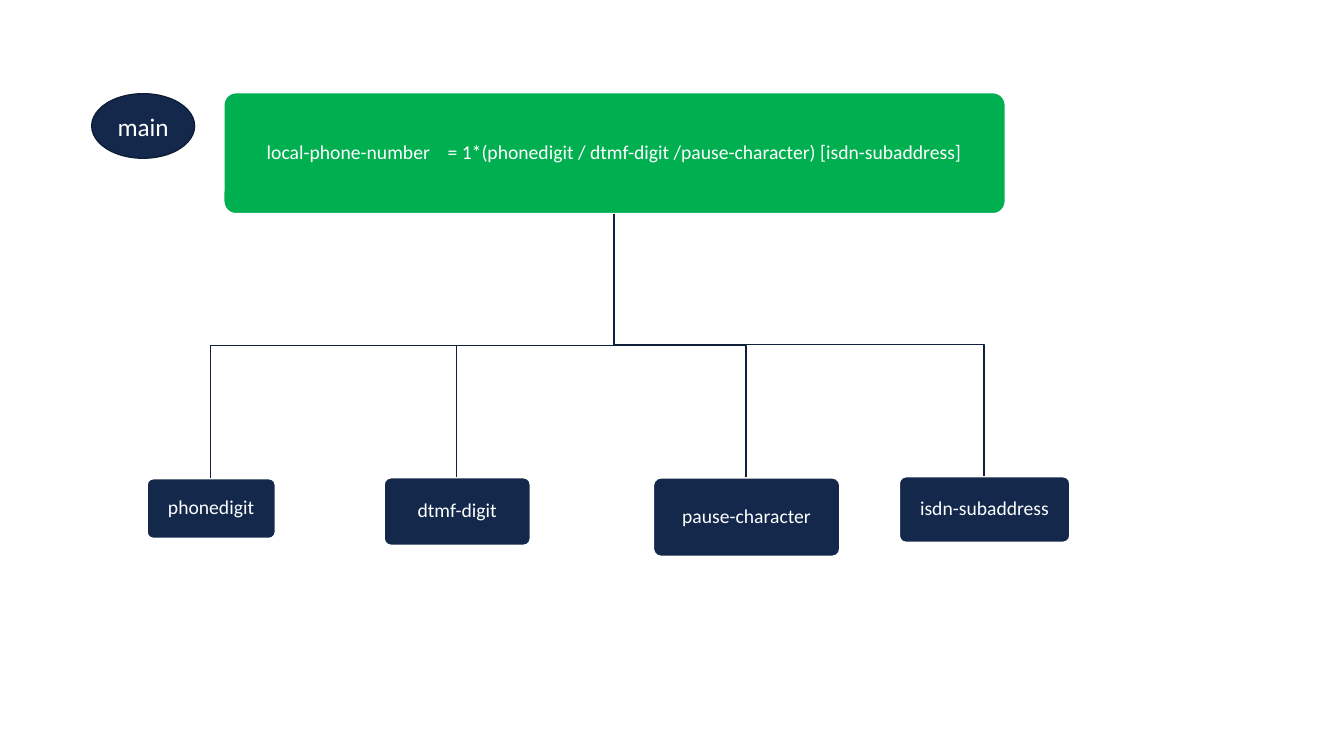
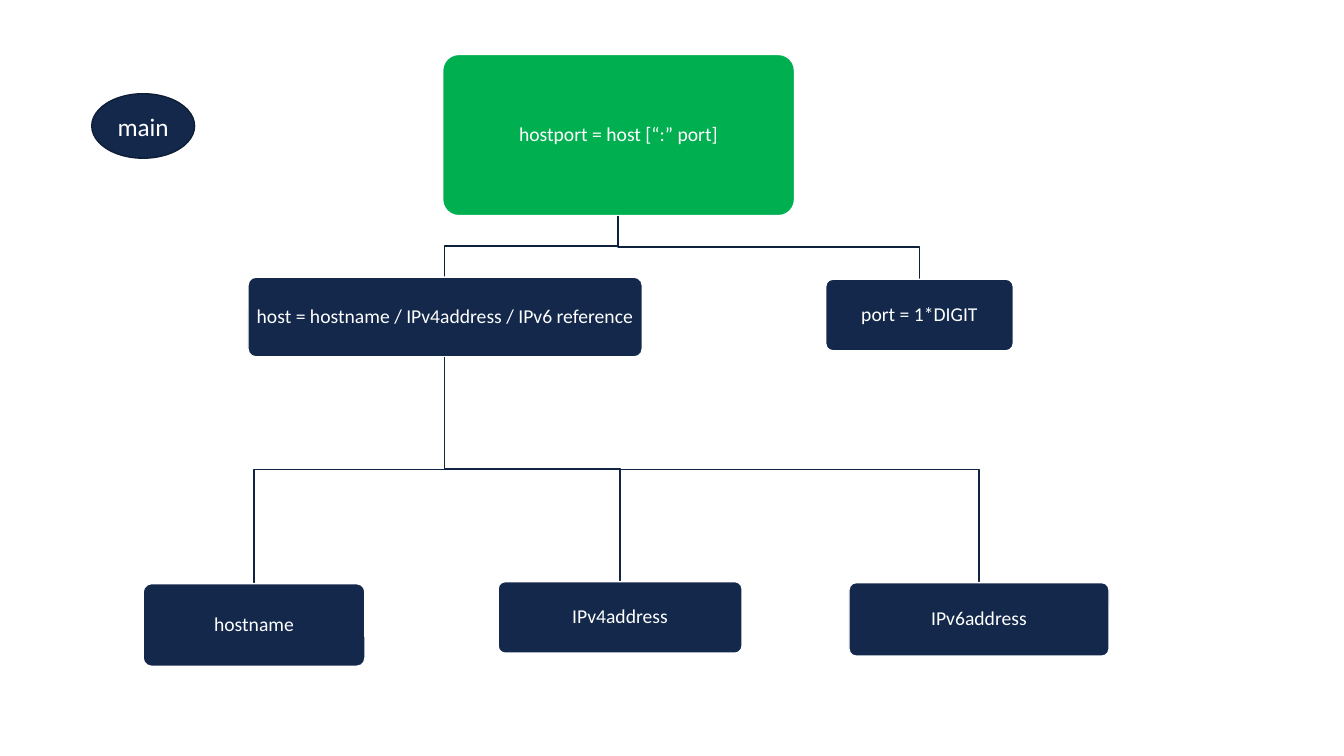
from dataclasses import dataclass

from pptx import Presentation
from pptx.dml.color import RGBColor
from pptx.enum.shapes import MSO_SHAPE
from pptx.enum.text import MSO_ANCHOR, PP_ALIGN
from pptx.util import Pt

PX = 9144  # 100 px to the inch
SLIDE_WIDTH, SLIDE_HEIGHT = 1333, 750
BLANK_LAYOUT = 6

FONT = "Calibri"
WHITE = RGBColor(0xFF, 0xFF, 0xFF)
GREEN = RGBColor(0x00, 0xB0, 0x50)
NAVY = RGBColor(0x13, 0x28, 0x4B)
BADGE_LINE = RGBColor(0x0E, 0x1E, 0x37)
LINK_COLORS = (RGBColor(0x0F, 0x20, 0x3C), RGBColor(0x11, 0x24, 0x44))


@dataclass
class Rule:
    """A grammar rule in its box, with the rules it is made of."""
    text: str
    left: int
    top: int
    width: int
    height: int
    children: tuple = ()

    @property
    def center(self):
        return self.left + self.width // 2

    @property
    def bottom(self):
        return self.top + self.height


LOCAL_PHONE_NUMBER = Rule(
    "local-phone-number    = 1*(phonedigit / dtmf-digit /pause-character) [isdn-subaddress]",
    222, 92, 775, 120, (
        Rule("phonedigit", 146, 475, 127, 59),
        Rule("dtmf-digit", 381, 474, 145, 67),
        Rule("pause-character", 648, 474, 185, 78),
        Rule("isdn-subaddress", 892, 473, 169, 65),
    ))

HOSTPORT = Rule(
    "hostport = host [“:” port]", 439, 54, 349, 160, (
        Rule("host = hostname / IPv4address / IPv6 reference", 246, 275, 391, 79, (
            Rule("hostname", 142, 579, 220, 82),
            Rule("IPv4address", 494, 577, 242, 71),
            Rule("IPv6address", 842, 578, 258, 73),
        )),
        Rule("port = 1*DIGIT", 819, 277, 186, 71),
    ))


def add_labelled_shape(slide, kind, box, text, size, fill, line):
    shape = slide.shapes.add_shape(kind, *(length * PX for length in box))
    shape.shadow.inherit = False
    shape.fill.solid()
    shape.fill.fore_color.rgb = fill
    shape.line.color.rgb = line
    shape.line.width = Pt(1)
    frame = shape.text_frame
    frame.word_wrap = True
    frame.vertical_anchor = MSO_ANCHOR.MIDDLE
    paragraph = frame.paragraphs[0]
    paragraph.alignment = PP_ALIGN.CENTER
    run = paragraph.add_run()
    run.text = text
    run.font.name = FONT
    run.font.size = Pt(size)
    run.font.color.rgb = WHITE
    return shape


def add_rule_box(slide, rule, fill):
    box = (rule.left, rule.top, rule.width, rule.height)
    shape = add_labelled_shape(slide, MSO_SHAPE.ROUNDED_RECTANGLE, box,
                               rule.text, 14, fill, WHITE)
    shape.adjustments[0] = 0.1
    frame = shape.text_frame
    frame.margin_left = frame.margin_right = 6 * PX
    frame.margin_top = frame.margin_bottom = 6 * PX
    frame.paragraphs[0].line_spacing = 0.9
    frame.paragraphs[0].space_after = Pt(5)


def add_link(slide, parent, child, color):
    """Draw a bent line that turns halfway between the two boxes."""
    middle = (parent.bottom + child.top) // 2
    builder = slide.shapes.build_freeform(parent.center, parent.bottom, scale=PX)
    builder.add_line_segments([(parent.center, middle),
                               (child.center, middle),
                               (child.center, child.top)], close=False)
    link = builder.convert_to_shape()
    link.shadow.inherit = False
    link.fill.background()
    link.line.color.rgb = color
    link.line.width = Pt(1)


def add_rule_tree(slide, rule, depth=0):
    add_rule_box(slide, rule, NAVY if depth else GREEN)
    for child in rule.children:
        add_link(slide, rule, child, LINK_COLORS[depth])
        add_rule_tree(slide, child, depth + 1)


def add_main_badge(slide):
    add_labelled_shape(slide, MSO_SHAPE.OVAL, (91, 93, 102, 64),
                       "main", 18, NAVY, BADGE_LINE)


def main():
    presentation = Presentation()
    presentation.slide_width = SLIDE_WIDTH * PX
    presentation.slide_height = SLIDE_HEIGHT * PX
    for root in (LOCAL_PHONE_NUMBER, HOSTPORT):
        slide = presentation.slides.add_slide(presentation.slide_layouts[BLANK_LAYOUT])
        add_rule_tree(slide, root)
        add_main_badge(slide)
    presentation.save("out.pptx")


if __name__ == "__main__":
    main()
